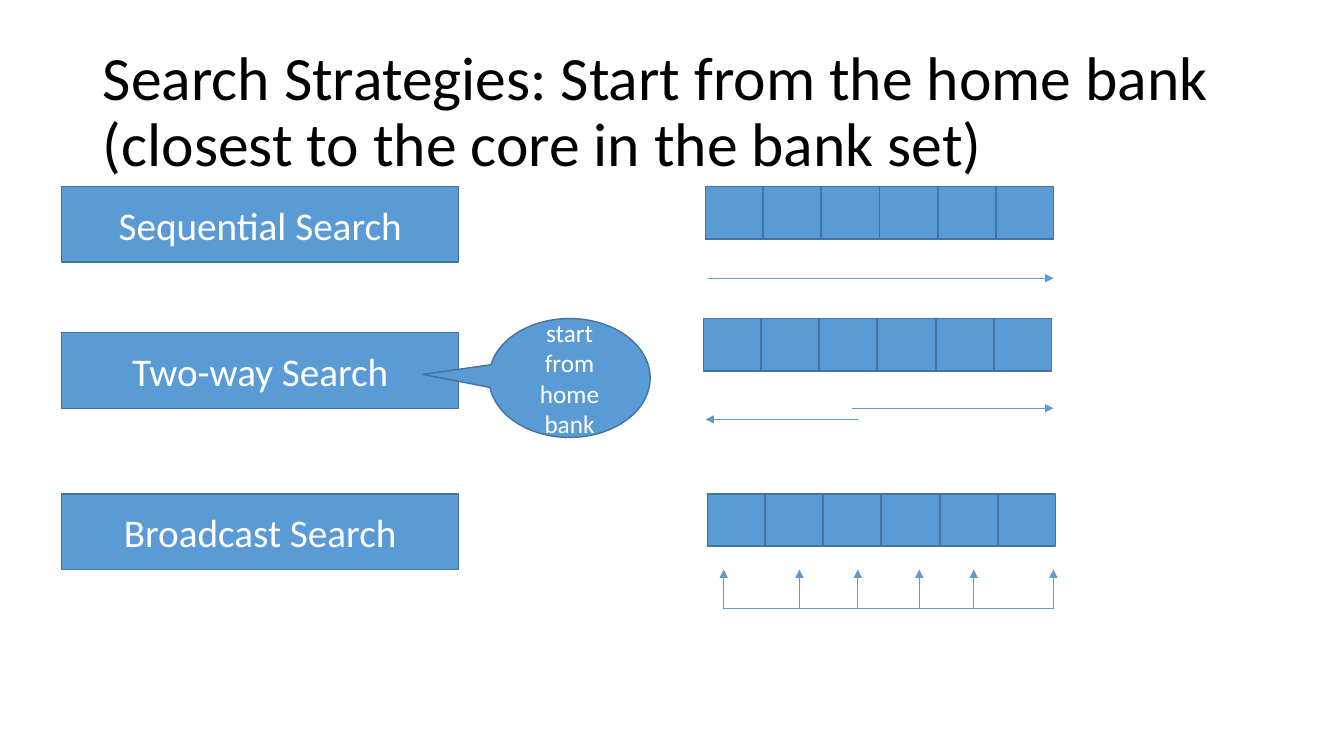
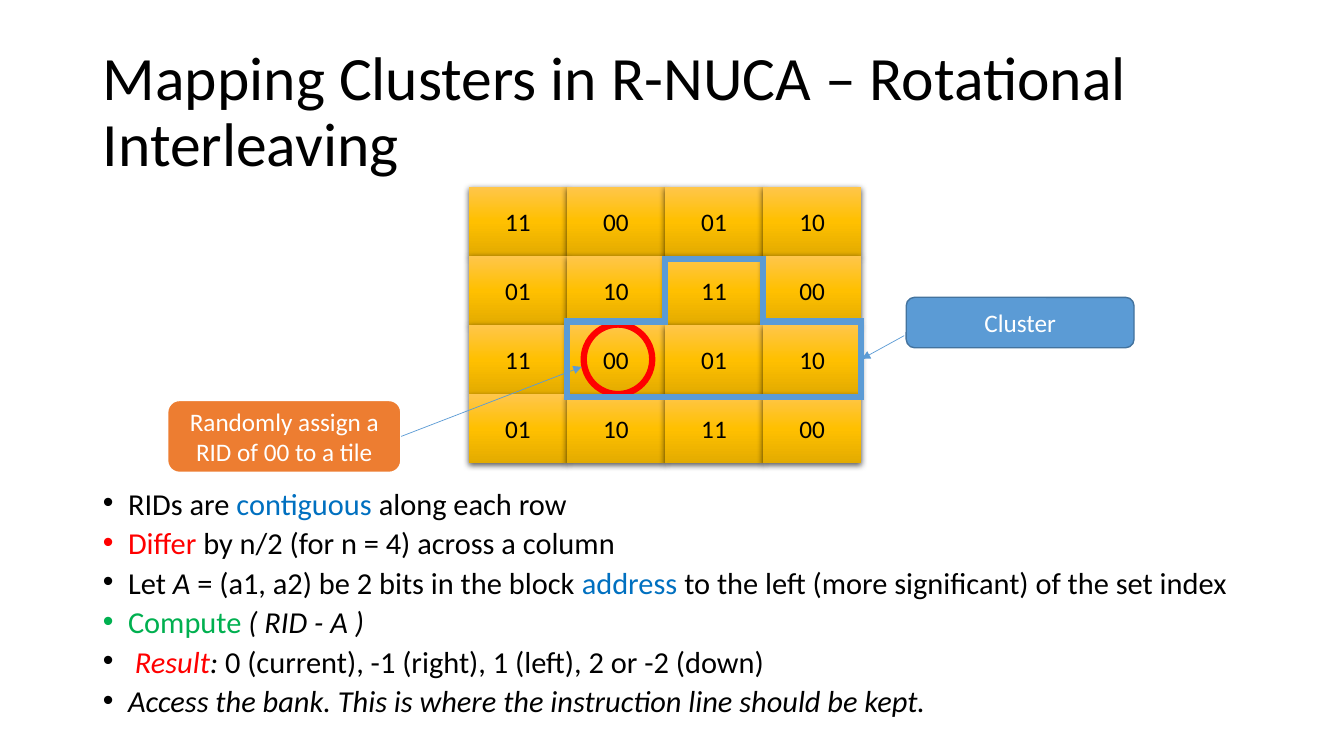
from copy import deepcopy

from lxml import etree
from pptx import Presentation
from pptx.dml.color import RGBColor
from pptx.enum.shapes import MSO_CONNECTOR, MSO_SHAPE
from pptx.enum.text import MSO_ANCHOR, MSO_AUTO_SIZE, PP_ALIGN
from pptx.oxml.ns import qn
from pptx.util import Inches, Pt

RECT, ROUND = MSO_SHAPE.RECTANGLE, MSO_SHAPE.ROUNDED_RECTANGLE
OVAL, BUBBLE = MSO_SHAPE.OVAL, MSO_SHAPE.OVAL_CALLOUT
LINE = MSO_CONNECTOR.STRAIGHT
LEFT, MID = PP_ALIGN.LEFT, PP_ALIGN.CENTER
TOP, CENTER = MSO_ANCHOR.TOP, MSO_ANCHOR.MIDDLE
FIXED = MSO_AUTO_SIZE.NONE

# Shared look
FONT = "Calibri"
BLUE, EDGE, ORANGE = "5B9BD5", "43739E", "ED7D31"
BLACK, WHITE, RED = "000000", "FFFFFF", "FF0000"
LINK, GREEN = "0070C0", "00B050"
GOLD = [(0, "FFC64B"), (0.5, "FFC000"), (1, "E3AB00")]

# Slide size; all lengths below are percents of it
WIDE, HIGH = Inches(13.333), Inches(7.5)
MARGIN, SPAN = 6.9, 86.25
HEAD = 24.67  # top of the content

# Tile grid of the cluster map
GRID_X, TILE_W, TILE_H = 34.88, 7.3, 9.16
TILES = ["11 00 01 10", "01 10 11 00", "11 00 01 10", "01 10 11 00"]

BULLETS = [
    [("RIDs are ", BLACK, False), ("contiguous", LINK, False),
     (" along each row", BLACK, False)],
    [("Differ ", RED, False),
     ("by n/2 (for n = 4) across a column", BLACK, False)],
    [("Let ", BLACK, False), ("A", BLACK, True),
     (" = (a1, a2) be 2 bits in the block ", BLACK, False),
     ("address", LINK, False),
     (" to the left (more significant) of the set index", BLACK, False)],
    [("Compute ", GREEN, False), ("( RID - A )", BLACK, True)],
    [(" ", BLACK, True), ("Result", RED, True), (": ", BLACK, True),
     ("0 (current), -1 (right), 1 (left), 2 or -2 (down)", BLACK, False)],
    [("Access the bank. This is where the instruction line should be kept.",
      BLACK, True)],
]


def rgb(code):
    return RGBColor.from_string(code)


def across(share):
    return round(WIDE * share / 100)


def down(share):
    return round(HIGH * share / 100)


def box(x, y, w, h):
    return across(x), down(y), across(w), down(h)


def put(item, *area):
    item.left, item.top, item.width, item.height = box(*area)


def add_run(para, text, size, color, slant=False):
    run = para.add_run()
    run.text = text
    font = run.font
    font.name, font.size, font.italic = FONT, Pt(size), slant
    font.color.rgb = rgb(color)


def set_frame(frame, anchor):
    frame.word_wrap = True
    frame.auto_size = FIXED
    frame.vertical_anchor = anchor


def add_title(slide, text):
    title = slide.shapes.title
    put(title, MARGIN, 5.33, SPAN, 19.33)
    set_frame(title.text_frame, CENTER)
    para = title.text_frame.paragraphs[0]
    para.alignment, para.line_spacing = LEFT, 0.9
    add_run(para, text, 44, BLACK)


def add_list(slide, rows):
    body = slide.placeholders[1]
    put(body, MARGIN, 64.8, SPAN, 33.33)
    frame = body.text_frame
    set_frame(frame, TOP)
    for i, runs in enumerate(rows):
        para = frame.add_paragraph() if i else frame.paragraphs[0]
        para.line_spacing = 0.7
        para.space_before = Pt(10 if i else 0)
        props = para._p.get_or_add_pPr()
        props.set("marL", str(Inches(0.25)))
        props.set("indent", str(-Inches(0.25)))
        etree.SubElement(props, qn("a:buFont"), typeface="Arial")
        etree.SubElement(props, qn("a:buChar"), char="•")
        for text, color, slant in runs:
            add_run(para, text, 21.7, color, slant)


def add_box(shapes, kind, area, text="", size=18, fill=BLUE, line=EDGE,
            width=1, ink=WHITE):
    shape = shapes.add_shape(kind, *box(*area))
    shape.shadow.inherit = False
    if fill:
        shape.fill.solid()
        shape.fill.fore_color.rgb = rgb(fill)
    else:
        shape.fill.background()
    if line:
        shape.line.color.rgb = rgb(line)
        shape.line.width = Pt(width)
    else:
        shape.line.fill.background()
    if text:
        set_frame(shape.text_frame, CENTER)
        para = shape.text_frame.paragraphs[0]
        para.alignment = MID
        add_run(para, text, size, ink)
    return shape


def add_line(shapes, x1, y1, x2, y2, arrow=True):
    line = shapes.add_connector(LINE, across(x1), down(y1),
                                across(x2), down(y2))
    line.line.color.rgb = rgb(BLUE)
    line.line.width = Pt(0.5)
    props = line.element.spPr
    if arrow:
        etree.SubElement(props.find(qn("a:ln")), qn("a:tailEnd"),
                         type="triangle")
    etree.SubElement(props, qn("a:effectLst"))
    return line


def add_strip(shapes, x, y):
    for i in range(6):
        add_box(shapes, RECT, (x + 4.32 * i, y, 4.28, 6.93))


def add_tile(shapes, col, row, text):
    area = (GRID_X + col * TILE_W, HEAD + row * TILE_H, TILE_W, TILE_H)
    tile = add_box(shapes, RECT, area, text, line=None, ink=BLACK)
    tile.fill.gradient()
    tile.fill.gradient_angle = 270
    props = tile.element.spPr
    stops = props.find(qn("a:gradFill")).find(qn("a:gsLst"))
    stops.insert(1, deepcopy(stops[0]))
    for stop, (place, color) in zip(tile.fill.gradient_stops, GOLD):
        stop.position = place
        stop.color.rgb = rgb(color)
    # Soft shadow below the tile
    shade = etree.SubElement(
        props.find(qn("a:effectLst")), qn("a:outerShdw"),
        blurRad=str(Pt(4.5)), dist=str(Pt(1.5)), dir="5400000",
        algn="ctr", rotWithShape="0")
    color = etree.SubElement(shade, qn("a:srgbClr"), val=BLACK)
    etree.SubElement(color, qn("a:alpha"), val="63000")


def add_outline(shapes, corners):
    points = [(across(GRID_X + col * TILE_W), down(HEAD + row * TILE_H))
              for col, row in corners]
    pen = shapes.build_freeform(*points[0])
    pen.add_line_segments(points[1:], close=True)
    shape = pen.convert_to_shape()
    shape.shadow.inherit = False
    shape.fill.background()
    shape.line.color.rgb = rgb(BLUE)
    shape.line.width = Pt(4.5)
    etree.SubElement(shape.element.spPr.find(qn("a:ln")), qn("a:miter"),
                     lim="800000")


def search_slide(deck):
    slide = deck.slides.add_slide(deck.slide_layouts[5])
    shapes = slide.shapes
    add_title(slide, "Search Strategies: Start from the home bank "
                     "(closest to the core in the bank set)")

    # Strategy labels and their banks
    for name, y, left, top in [("Sequential", HEAD, 52.5, HEAD),
                               ("Two-way", 44, 52.35, 42.13),
                               ("Broadcast", 65.33, 52.65, 65.33)]:
        add_box(shapes, RECT, (4.58, y, 29.55, 10), name + " Search", 28)
        add_strip(shapes, left, top)

    # Sequential and two-way arrows
    add_line(shapes, 52.65, 36.8, 78.38, 36.8)
    add_line(shapes, 63.38, 54, 78.38, 54)
    add_line(shapes, 63.83, 55.47, 52.5, 55.47)

    # Broadcast bus with its stems
    stems = [53.85, 59.48, 63.83, 68.4, 72.45, 78.38]
    add_line(shapes, stems[0], 80.53, stems[-1], 80.53, arrow=False)
    for x in stems:
        add_line(shapes, x, 80.53, x, 75.33)

    bubble = add_box(shapes, BUBBLE, (36.38, 42.13, 12, 15.73),
                     "start from home bank")
    bubble.adjustments[0] = -0.91
    bubble.adjustments[1] = -0.03


def cluster_slide(deck):
    slide = deck.slides.add_slide(deck.slide_layouts[1])
    shapes = slide.shapes
    add_title(slide, "Mapping Clusters in R-NUCA – Rotational Interleaving")
    add_list(slide, BULLETS)

    # Tile map
    group = shapes.add_group_shape()
    for row, names in enumerate(TILES):
        for col, name in enumerate(names.split()):
            add_tile(group.shapes, col, row, name)

    # Chosen tile and its note
    add_box(shapes, OVAL, (43.43, 42.93, 5.1, 9.2), fill=None, line=RED,
            width=4.5)
    note = add_box(shapes, ROUND, (12.45, 52.93, 17.4, 9.6),
                   "Randomly assign a RID of 00 to a tile",
                   fill=ORANGE, line=WHITE, width=1.5)
    arrow = add_line(shapes, 29.85, 57.73, 43.28, 48.53)
    arrow.begin_connect(note, 3)

    # Cluster outline, in columns and rows of the map
    add_outline(shapes, [(1, 3.04), (4, 3.04), (4, 1.95), (3, 1.95),
                         (3, 1.05), (2, 1.05), (2, 1.95), (1, 1.95)])
    add_box(shapes, ROUND, (67.43, 39.33, 16.95, 6.67), "Cluster")
    add_line(shapes, 67.28, 44.4, 64.13, 47.47)


def main():
    deck = Presentation()
    deck.slide_width, deck.slide_height = WIDE, HIGH
    search_slide(deck)
    cluster_slide(deck)
    deck.save("out.pptx")


if __name__ == "__main__":
    main()
